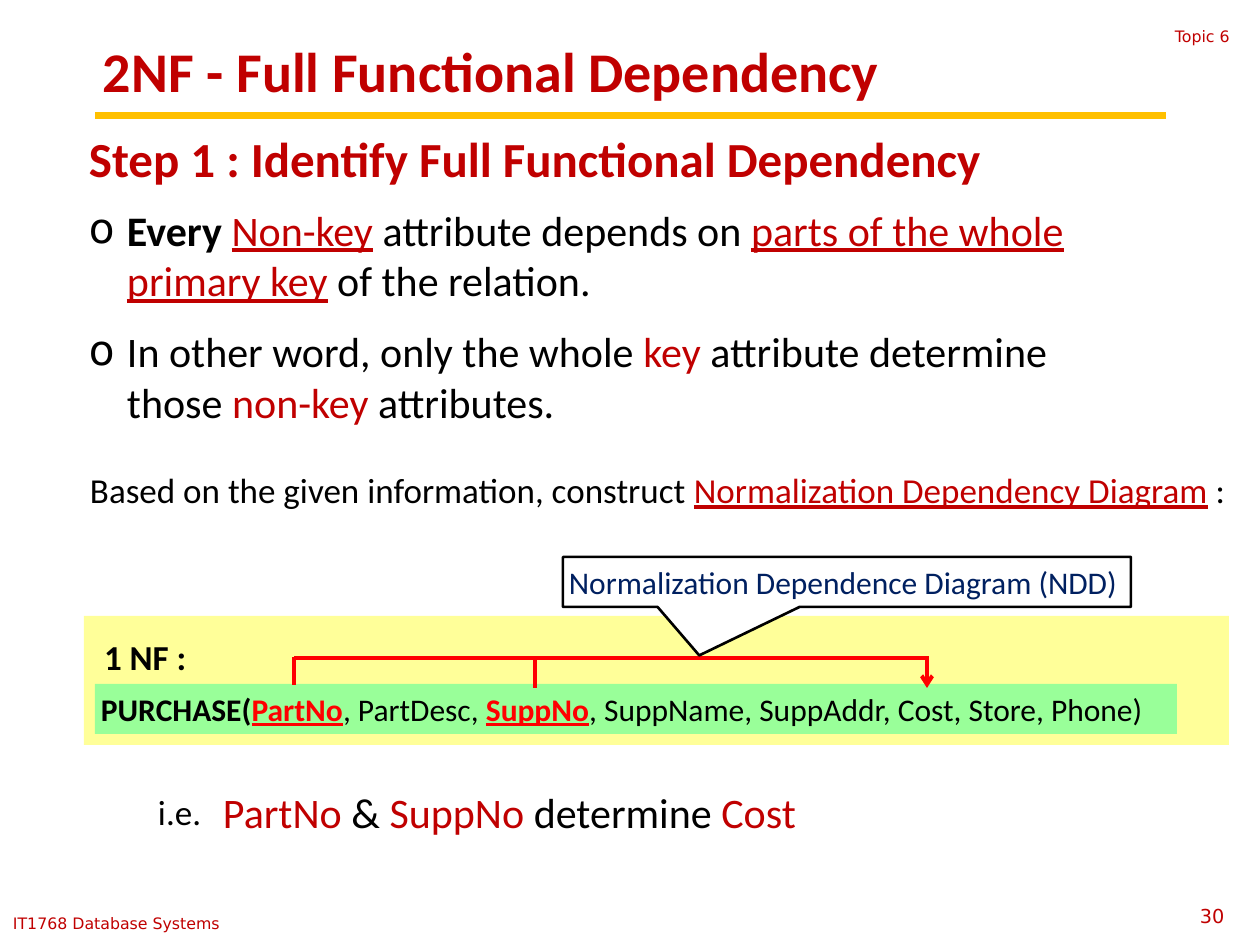
from dataclasses import dataclass
from typing import NamedTuple, Optional

from lxml.etree import SubElement
from pptx import Presentation
from pptx.dml.color import RGBColor
from pptx.enum.shapes import MSO_CONNECTOR, MSO_SHAPE
from pptx.enum.text import MSO_ANCHOR, MSO_AUTO_SIZE, PP_ALIGN
from pptx.oxml.ns import qn
from pptx.util import Emu, Inches, Pt

PX = 914400 / 126
BLACK, DARK_RED, RED = "000000", "C00000", "FF0000"
NAVY, GOLD, WHITE = "002060", "FFC000", "FFFFFF"
YELLOW, GREEN = "FFFF99", "99FF99"
BODY_FONT, FOOTER_FONT = "Calibri", "DejaVu Sans"


class Run(NamedTuple):
    text: str
    color: str = BLACK
    bold: bool = False
    underline: bool = False


class Rule(NamedTuple):
    x1: int
    y1: int
    x2: int
    y2: int
    color: str = RED
    width: float = 2.25
    arrow: bool = False


@dataclass
class Box:
    x: int
    y: int
    w: int
    h: int
    paragraphs: tuple = ()
    size: int = 20
    font: str = BODY_FONT
    inset: tuple = (6, 6)
    middle: bool = False
    wrap: bool = False
    grow: bool = True
    bullet: str = ""
    before: int = 0
    after: int = 0
    preset: Optional[MSO_SHAPE] = None
    fill: str = WHITE
    outline: str = ""
    adjustments: tuple = ()


def px(n: int) -> Emu:
    return Emu(round(n * PX))


def rgb(color: str) -> RGBColor:
    return RGBColor.from_string(color)


def add_bullet(p, char: str) -> None:
    pPr = p._p.get_or_add_pPr()
    pPr.set("marL", str(px(38)))
    pPr.set("indent", str(-px(38)))
    SubElement(pPr, qn("a:buFont")).set("typeface", FOOTER_FONT)
    SubElement(pPr, qn("a:buChar")).set("char", char)


def fill_text(tf, box: Box) -> None:
    tf.word_wrap = box.wrap
    tf.auto_size = MSO_AUTO_SIZE.SHAPE_TO_FIT_TEXT if box.grow else MSO_AUTO_SIZE.NONE
    tf.vertical_anchor = MSO_ANCHOR.MIDDLE if box.middle else MSO_ANCHOR.TOP
    tf.margin_left = tf.margin_right = px(box.inset[0])
    tf.margin_top = tf.margin_bottom = px(box.inset[1])
    for i, runs in enumerate(box.paragraphs):
        p = tf.add_paragraph() if i else tf.paragraphs[0]
        p.alignment = PP_ALIGN.LEFT
        if i and box.before:
            p.space_before = Pt(box.before)
        if box.after:
            p.space_after = Pt(box.after)
        if box.bullet:
            add_bullet(p, box.bullet)
        for run in runs:
            r = p.add_run()
            r.text = run.text
            r.font.name = box.font
            r.font.size = Pt(box.size)
            r.font.bold = run.bold
            r.font.underline = run.underline
            r.font.color.rgb = rgb(run.color)


def add_box(shapes, box: Box) -> None:
    frame = [px(n) for n in (box.x, box.y, box.w, box.h)]
    if box.preset is None:
        sp = shapes.add_textbox(*frame)
    else:
        sp = shapes.add_shape(box.preset, *frame)
        sp.shadow.inherit = False
        sp.fill.solid()
        sp.fill.fore_color.rgb = rgb(box.fill)
        if box.outline:
            sp.line.color.rgb = rgb(box.outline)
            sp.line.width = Pt(1.5)
        else:
            sp.line.fill.background()
        for i, value in enumerate(box.adjustments):
            sp.adjustments[i] = value
    if box.paragraphs:
        fill_text(sp.text_frame, box)


def add_rule(shapes, rule: Rule) -> None:
    ends = [px(n) for n in rule[:4]]
    line = shapes.add_connector(MSO_CONNECTOR.STRAIGHT, *ends)
    line.line.color.rgb = rgb(rule.color)
    line.line.width = Pt(rule.width)
    if rule.arrow:
        SubElement(line.line._get_or_add_ln(), qn("a:tailEnd")).set("type", "arrow")
    SubElement(line._element.spPr, qn("a:effectLst"))


def footer(x: int, y: int, w: int, h: int, text: str, size: int) -> Box:
    return Box(x, y, w, h, ((Run(text, DARK_RED),),), size, FOOTER_FONT, (13, 6), wrap=True)


BACK = (
    footer(0, 908, 357, 31, "IT1768 Database Systems", 9),
    footer(1187, 898, 63, 36, "30", 11),
    footer(1162, 21, 94, 31, "Topic 6", 9),
    Box(84, 616, 1145, 129, preset=MSO_SHAPE.RECTANGLE, fill=YELLOW),
    Box(98, 32, 794, 78, ((Run("2NF - Full Functional Dependency", DARK_RED, True),),),
        32, inset=(5, 5)),
    Box(84, 123, 987, 69,
        ((Run("Step 1 : Identify Full Functional Dependency", DARK_RED, True),),),
        28, inset=(5, 5), wrap=True),
    Box(98, 629, 96, 55, ((Run("1 NF :", bold=True),),), middle=True),
    Box(95, 684, 1082, 50, ((
        Run("PURCHASE(", bold=True),
        Run("PartNo", RED, True, True),
        Run(", PartDesc, "),
        Run("SuppNo", RED, True, True),
        Run(", SuppName, SuppAddr, Cost, Store, Phone)"),
    ),), 18, preset=MSO_SHAPE.RECTANGLE, fill=GREEN),
    Box(84, 462, 1177, 55, ((
        Run("Based on the given information, construct "),
        Run("Normalization Dependency Diagram", DARK_RED, underline=True),
        Run(" :"),
    ),), middle=True),
)

DEPENDENCY_LINES = (
    Rule(294, 685, 294, 657),
    Rule(535, 688, 535, 658),
    Rule(927, 658, 927, 688, arrow=True),
    Rule(294, 658, 929, 658),
)

FRONT = (
    Box(563, 557, 568, 50, ((Run("Normalization Dependence Diagram (NDD)", NAVY),),),
        18, middle=True, preset=MSO_SHAPE.RECTANGULAR_CALLOUT, outline=BLACK,
        adjustments=(-0.26, 1.47)),
    Box(84, 199, 1027, 223, (
        (
            Run("Every ", bold=True),
            Run("Non-key", DARK_RED, underline=True),
            Run(" attribute depends on "),
            Run("parts of the whole primary key", DARK_RED, underline=True),
            Run(" of the relation."),
        ),
        (
            Run("In other word, only the whole "),
            Run("key ", DARK_RED),
            Run("attribute determine those "),
            Run("non-key ", DARK_RED),
            Run("attributes."),
        ),
    ), 24, inset=(5, 5), wrap=True, grow=False, bullet="o", before=12),
    Box(222, 786, 597, 53, ((
        Run("PartNo", DARK_RED),
        Run(" & "),
        Run("SuppNo", DARK_RED),
        Run(" determine "),
        Run("Cost", DARK_RED),
    ),), 24, inset=(1, 1), after=6),
    Box(152, 784, 57, 55, ((Run("i.e."),),), middle=True),
)


def main() -> None:
    prs = Presentation()
    prs.slide_width, prs.slide_height = Inches(10), Inches(7.5)
    s = prs.slides.add_slide(prs.slide_layouts[6])
    add_rule(s.shapes, Rule(95, 116, 1166, 116, GOLD, 4))
    for box in BACK:
        add_box(s.shapes, box)
    group = s.shapes.add_group_shape()
    for rule in DEPENDENCY_LINES:
        add_rule(group.shapes, rule)
    for box in FRONT:
        add_box(s.shapes, box)
    prs.save("out.pptx")


if __name__ == "__main__":
    main()
